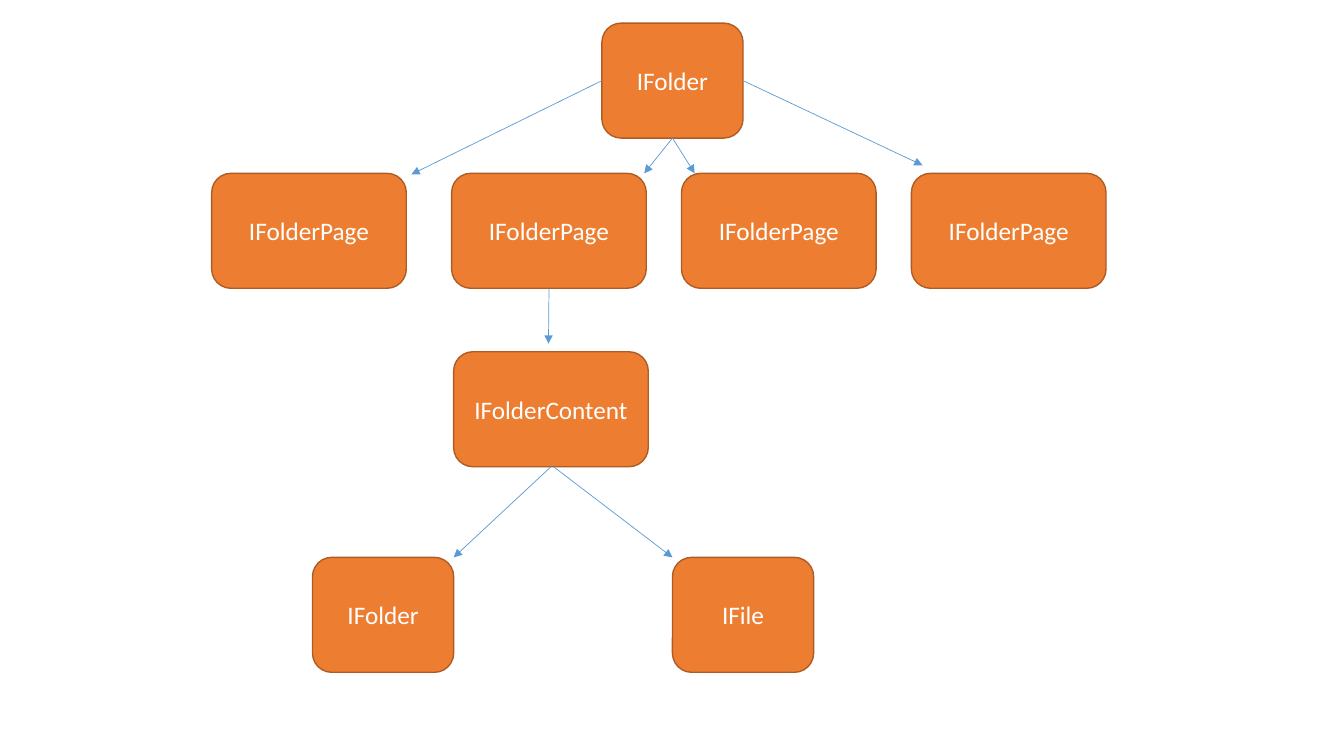
"""Draw the folder interface tree as one slide."""
import pptx
import pptx.dml.color
import pptx.enum.shapes
import pptx.enum.text
import pptx.oxml
import pptx.oxml.ns
import pptx.util

SCALE = 9144
WIDE, SLIM, HIGH = 193, 140, 114
TOP, LEFT, BOTTOM, RIGHT = range(4)


def px(count):
    """Turn px into EMU."""
    return pptx.util.Emu(count * SCALE)


def color(code):
    """Turn a hex string into a colour."""
    return pptx.dml.color.RGBColor.from_string(code)


def node(slide, name, left, top, width):
    """Add a rounded orange box with a centred name."""
    kind = pptx.enum.shapes.MSO_SHAPE.ROUNDED_RECTANGLE
    shape = slide.shapes.add_shape(kind, px(left), px(top), px(width), px(HIGH))
    shape.shadow.inherit = False
    shape.fill.solid()
    shape.fill.fore_color.rgb = color("ED7D31")
    shape.line.color.rgb = color("AF5C24")
    shape.line.width = pptx.util.Pt(1)
    frame = shape.text_frame
    frame.word_wrap = True
    frame.vertical_anchor = pptx.enum.text.MSO_ANCHOR.MIDDLE
    para = frame.paragraphs[0]
    para.text = name
    para.alignment = pptx.enum.text.PP_ALIGN.CENTER
    para.font.name = "Calibri"
    para.font.size = pptx.util.Pt(18)
    para.font.color.rgb = color("FFFFFF")
    return shape


def arrow(slide, start, end):
    """Add a thin blue arrow between two points."""
    kind = pptx.enum.shapes.MSO_CONNECTOR.STRAIGHT
    line = slide.shapes.add_connector(kind, *map(px, start + end))
    line.line.color.rgb = color("5B9BD5")
    line.line.width = pptx.util.Pt(0.5)
    tail = pptx.oxml.parse_xml(
        f'<a:tailEnd {pptx.oxml.ns.nsdecls("a")} type="triangle"/>')
    line.line._get_or_add_ln().append(tail)
    glow = pptx.oxml.parse_xml(f'<a:effectLst {pptx.oxml.ns.nsdecls("a")}/>')
    line._element.spPr.append(glow)
    return line


def link(slide, shape, side, end):
    """Join an arrow to the middle of a box side."""
    arrow(slide, end, end).begin_connect(shape, side)


def pages(slide, left, top):
    """Place the root folder over its pages and return the second page."""
    root = node(slide, "IFolder", left + 387, top, SLIM)
    row = [node(slide, "IFolderPage", left + step, top + 149, WIDE)
           for step in (0, 238, 466, 694)]
    for side, across, down in ((LEFT, 198, 150), (BOTTOM, 429, 149),
                               (BOTTOM, 479, 149), (RIGHT, 705, 141)):
        link(slide, root, side, (left + across, top + down))
    return row[1]


def content(slide, left, top):
    """Place the folder content over its folder and file."""
    head = node(slide, "IFolderContent", left + 140, top, WIDE)
    level = top + 204
    node(slide, "IFolder", left, level, SLIM)
    node(slide, "IFile", left + 357, level, SLIM)
    link(slide, head, BOTTOM, (left + SLIM, level))
    arrow(slide, (left + 239, top + HIGH), (left + 357, level))


def main():
    """Build and save the slide."""
    deck = pptx.Presentation()
    deck.slide_width, deck.slide_height = px(1333), px(750)
    slide = deck.slides.add_slide(deck.slide_layouts[6])
    page = pages(slide, 210, 23)
    content(slide, 310, 349)
    link(slide, page, BOTTOM, (544, 341))
    deck.save("out.pptx")


if __name__ == "__main__":
    main()
